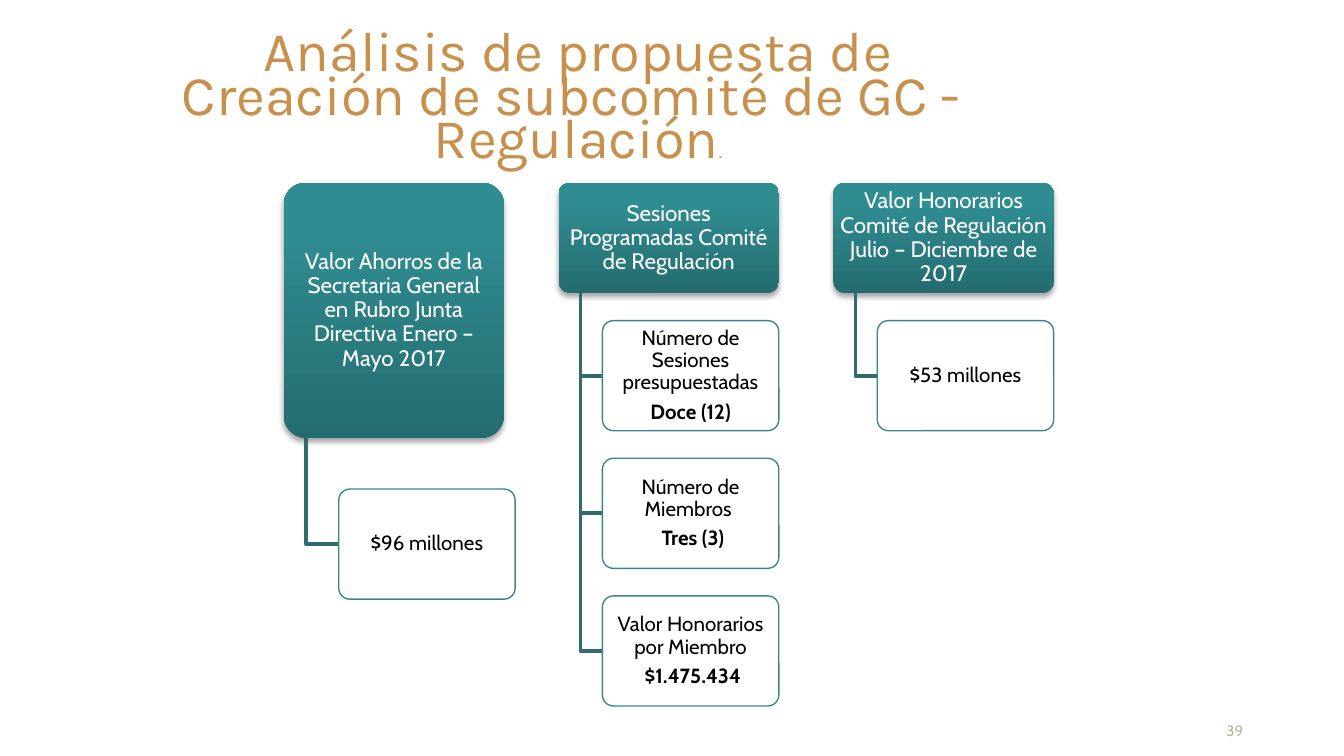
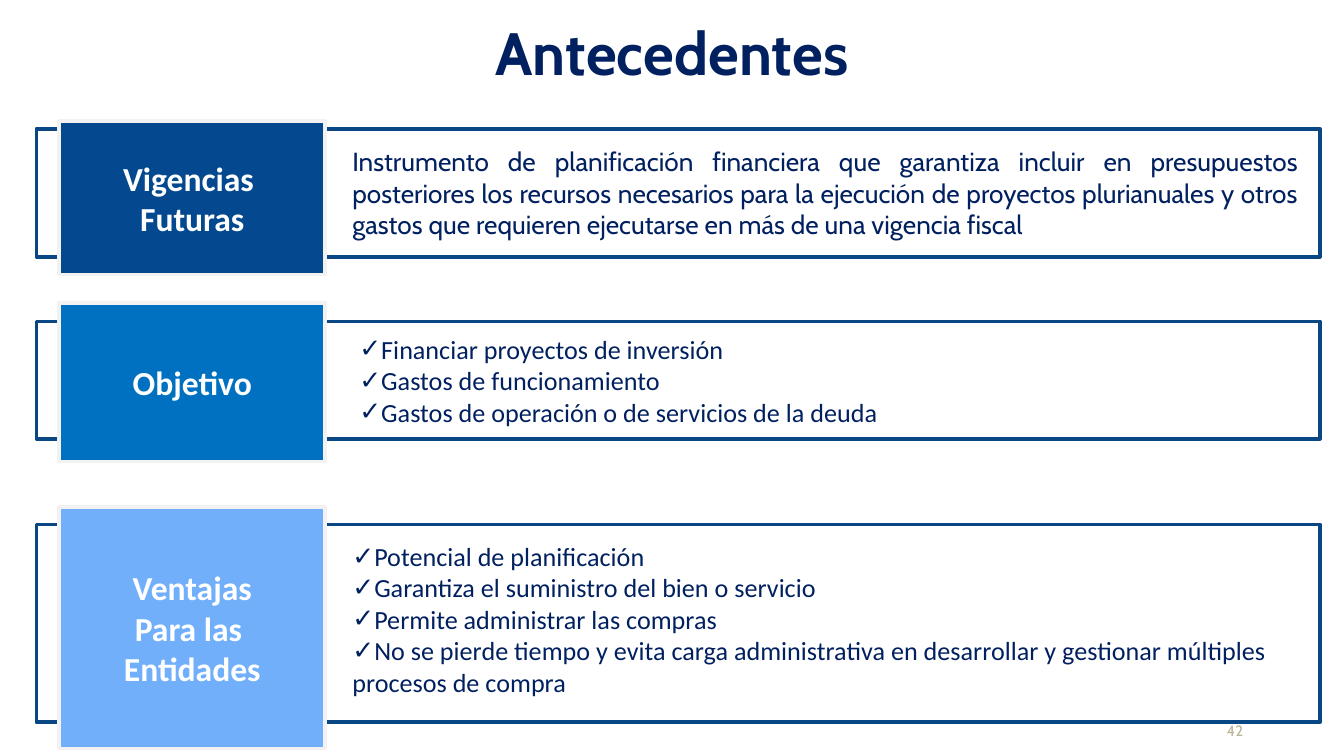
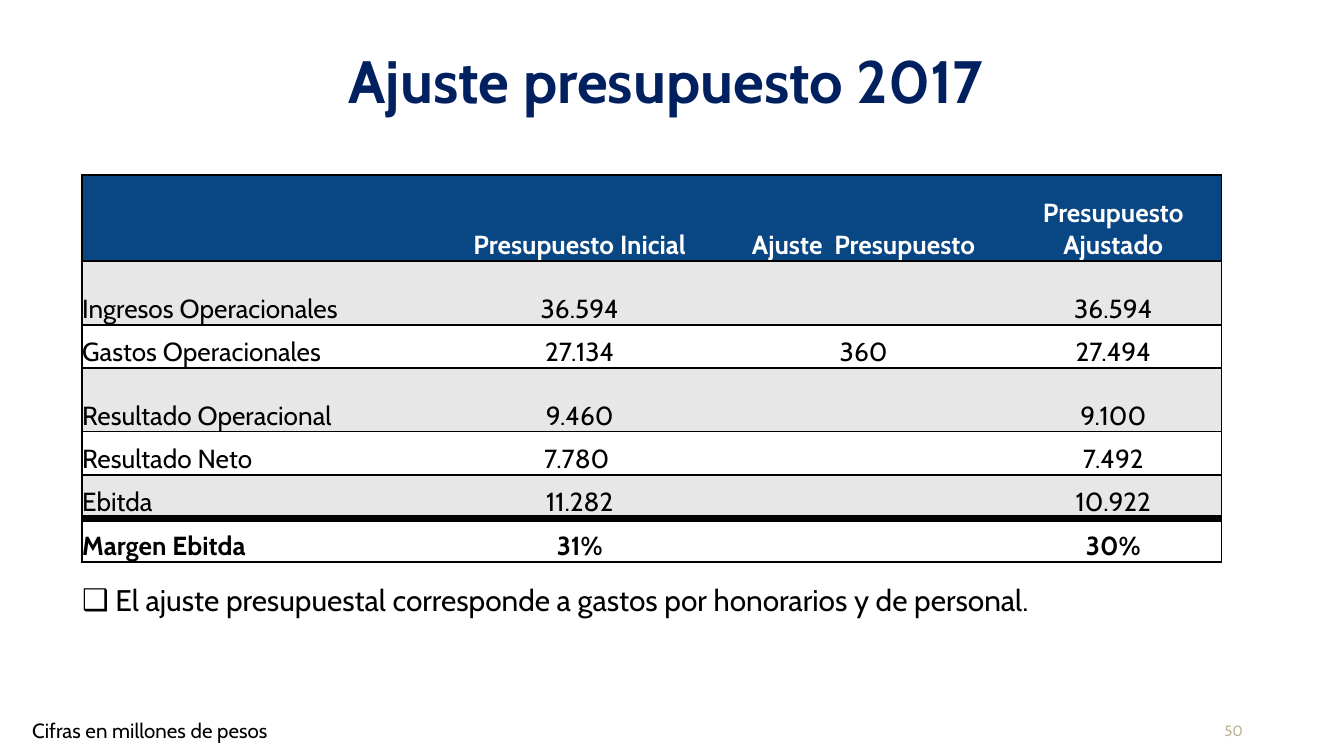
from copy import deepcopy
from dataclasses import dataclass

from lxml import etree
from pptx import Presentation
from pptx.dml.color import RGBColor
from pptx.enum.shapes import MSO_SHAPE
from pptx.enum.text import MSO_ANCHOR, MSO_AUTO_SIZE, PP_ALIGN
from pptx.oxml.ns import qn
from pptx.util import Pt

LEFT, CENTER, RIGHT, JUSTIFY = PP_ALIGN.LEFT, PP_ALIGN.CENTER, PP_ALIGN.RIGHT, PP_ALIGN.JUSTIFY
TOP, MIDDLE, BOTTOM = MSO_ANCHOR.TOP, MSO_ANCHOR.MIDDLE, MSO_ANCHOR.BOTTOM
ROUNDED, PENTAGON = MSO_SHAPE.ROUNDED_RECTANGLE, MSO_SHAPE.PENTAGON
NO_AUTOFIT = MSO_AUTO_SIZE.NONE
TITLE_CONTENT, TWO_CONTENT, TITLE_ONLY = 1, 3, 5
NO_TABLE_STYLE = "{2D5ABB26-0587-4C30-8999-92F81FD0307C}"


@dataclass(frozen=True)
class Theme:
    font: str = "Cabin"
    label_font: str = "Calibri"
    display_font: str = "Karla"
    white: str = "FFFFFF"
    black: str = "000000"
    navy: str = "002060"
    gold: str = "C8904D"
    page_number: str = "BCB296"
    teal_gradient: tuple = ((0, "246C6F"), (0.8, "2F8C90"), (1, "2D8F92"))
    stem: str = "306B6E"
    card_line: str = "3C8689"
    band: str = "094784"
    label_line: str = "F2F2F2"
    stripe: str = "E7E7E7"
    title_size: float = 32
    display_size: float = 30
    label_size: float = 18
    note_size: float = 16
    body_size: float = 14
    head_size: float = 12
    card_size: float = 11
    dot_size: float = 9.8
    number_size: float = 8


T = Theme()


def rgb(value):
    return RGBColor.from_string(value)


def write(tf, paragraphs, size, color, font=T.font, bold=False, align=LEFT, anchor=TOP,
          inset=0, spacing=1.0, after=0, bullet=None, wrap=True):
    """Write paragraphs; each is a string or a list of (text, bold, size) runs."""
    tf.auto_size = NO_AUTOFIT
    tf.word_wrap = wrap
    tf.vertical_anchor = anchor
    tf.margin_left = tf.margin_right = tf.margin_top = tf.margin_bottom = Pt(inset)
    for i, runs in enumerate(paragraphs):
        p = tf.paragraphs[0] if i == 0 else tf.add_paragraph()
        p.alignment = align
        p.line_spacing = spacing
        p.space_before, p.space_after = Pt(0), Pt(after)
        if bullet:
            set_bullet(p, bullet)
        if isinstance(runs, str):
            runs = [(runs, bold, size)]
        for text, run_bold, run_size in runs:
            r = p.add_run()
            r.text = text
            r.font.name, r.font.size, r.font.bold = font, Pt(run_size), run_bold
            r.font.color.rgb = rgb(color)


def set_bullet(p, char):
    pPr = p._p.get_or_add_pPr()
    pPr.set("marL", "0")
    pPr.set("indent", "0")
    etree.SubElement(pPr, qn("a:buChar"), char=char)


def place(sp, x, y, w, h):
    sp.left, sp.top, sp.width, sp.height = Pt(x), Pt(y), Pt(w), Pt(h)


def add_title(s, text, box, spacing, align=CENTER):
    place(s.shapes.title, *box)
    write(s.shapes.title.text_frame, [text], T.title_size, T.navy, bold=True,
          align=align, spacing=spacing)


def add_list(s, idx, box, items, **style):
    """Fill a body placeholder and bring it in front of the shapes so far."""
    sp = s.placeholders[idx]
    place(sp, *box)
    write(sp.text_frame, items, **style)
    s.shapes.element.append(sp.element)


def add_text(s, box, text, size, color, **style):
    sp = s.shapes.add_textbox(*map(Pt, box))
    write(sp.text_frame, [text], size, color, **style)


def add_page_number(s, number):
    add_text(s, (643, 386.5, 23, 9.5), number, T.number_size, T.page_number,
             align=RIGHT, anchor=BOTTOM)


def add_box(s, kind, box, adjust, fill=None, line=None, width=1):
    sp = s.shapes.add_shape(kind, *map(Pt, box))
    sp.adjustments[0] = adjust
    sp.shadow.inherit = False
    if fill:
        sp.fill.solid()
        sp.fill.fore_color.rgb = rgb(fill)
    if line:
        sp.line.color.rgb = rgb(line)
        sp.line.width = Pt(width)
    else:
        sp.line.fill.background()
    return sp


def add_header(s, box, text):
    sp = add_box(s, ROUNDED, box, 0.1)
    sp.fill.gradient()
    sp.fill.gradient_angle = 90
    stops = sp.element.spPr.find(".//" + qn("a:gsLst"))
    stops.append(deepcopy(stops[-1]))
    for stop, (position, color) in zip(sp.fill.gradient_stops, T.teal_gradient):
        stop.position = position
        stop.color.rgb = rgb(color)
    effects = sp.element.spPr.find(qn("a:effectLst"))
    shadow = etree.SubElement(effects, qn("a:outerShdw"), blurRad=str(Pt(3.1)),
                              dist=str(Pt(1.8)), dir="5400000", rotWithShape="0")
    color = etree.SubElement(shadow, qn("a:srgbClr"), val=T.black)
    etree.SubElement(color, qn("a:alpha"), val="35000")
    write(sp.text_frame, [text], T.head_size, T.white, align=CENTER, anchor=MIDDLE,
          inset=1.8, spacing=0.9, after=4.2)


def add_card(s, box, paragraphs):
    sp = add_box(s, ROUNDED, box, 0.1, T.white, T.card_line, 0.75)
    color = sp.element.spPr.find(qn("a:solidFill"))[0]
    etree.SubElement(color, qn("a:alpha"), val="90000")
    write(sp.text_frame, paragraphs, T.card_size, T.black, align=CENTER, anchor=MIDDLE,
          inset=1.5, spacing=0.9, after=3.85)


def add_stem(s, x, top, end_x, end_y):
    builder = s.shapes.build_freeform(Pt(x), Pt(top))
    builder.add_line_segments([(Pt(x), Pt(end_y)), (Pt(end_x), Pt(end_y))], close=False)
    sp = builder.convert_to_shape()
    sp.shadow.inherit = False
    sp.fill.background()
    sp.line.color.rgb = rgb(T.stem)
    sp.line.width = Pt(2)


def add_branch(s, x, head_h, header, cards, indent=23.5, gap=14.75):
    """A header with cards hanging below it from right-angled stems."""
    top, head_w, card_w, card_h = 98, 118, 94.5, 59
    add_header(s, (x, top, head_w, head_h), header)
    bottom = top + head_h
    for i, paragraphs in enumerate(cards):
        y = bottom + gap + i * card_h * 1.25
        add_stem(s, x + 11.8, bottom, x + indent, y + card_h / 2)
        add_card(s, (x + indent, y, card_w, card_h), paragraphs)


def add_band(s, y, h, label_y, label_h, color, label):
    add_box(s, ROUNDED, (19.5, y, 687.5, h), 0, T.white, T.band, 2)
    sp = add_box(s, PENTAGON, (31.75, label_y, 142.5, label_h), 0, color, T.label_line, 2)
    write(sp.text_frame, label, T.label_size, T.white, font=T.label_font, bold=True,
          align=CENTER, anchor=MIDDLE, inset=18, wrap=False)


def set_border(cell, side, width):
    ln = etree.SubElement(cell._tc.get_or_add_tcPr(), qn("a:ln" + side), w=str(Pt(width)))
    fill = etree.SubElement(ln, qn("a:solidFill"))
    etree.SubElement(fill, qn("a:srgbClr"), val=T.black)


def add_budget_table(s, box, widths, heights, rows):
    frame = s.shapes.add_table(len(rows), len(widths), *map(Pt, box))
    frame.element.find(".//" + qn("a:tableStyleId")).text = NO_TABLE_STYLE
    table = frame.table
    table.first_row = table.horz_banding = False
    for column, width in zip(table.columns, widths):
        column.width = Pt(width)
    for row, height in zip(table.rows, heights):
        row.height = Pt(height)
    last = len(rows) - 1
    for i, values in enumerate(rows):
        fill = T.band if i == 0 else T.stripe if i % 2 else T.white
        for j, value in enumerate(values):
            cell = table.cell(i, j)
            cell.margin_left = cell.margin_right = cell.margin_top = cell.margin_bottom = 0
            cell.vertical_anchor = BOTTOM
            if j == 0:
                set_border(cell, "L", 1)
            if j == len(values) - 1:
                set_border(cell, "R", 1)
            set_border(cell, "T", 4 if i == last else 1)
            set_border(cell, "B", 4 if i == last - 1 else 1)
            cell.fill.solid()
            cell.fill.fore_color.rgb = rgb(fill)
            p = cell.text_frame.paragraphs[0]
            p.alignment = CENTER if j else LEFT
            if value:
                r = p.add_run()
                r.text = value
                r.font.name, r.font.size = T.font, Pt(T.body_size)
                r.font.bold = i in (0, last)
                r.font.color.rgb = rgb(T.black if i else T.white)


def subcommittee_slide(prs):
    s = prs.slides.add_slide(prs.slide_layouts[TITLE_ONLY])
    place(s.shapes.title, 79.2, 19.5, 461, 52.5)
    title = [("Análisis de propuesta de Creación de subcomité de GC -  Regulación",
              False, T.display_size), (".", False, T.dot_size)]
    write(s.shapes.title.text_frame, [title], T.display_size, T.gold, font=T.display_font,
          align=CENTER, spacing=0.65)

    def strong(text):
        return [(text, True, T.card_size)]

    add_branch(s, 152, 136.75,
               "Valor Ahorros de la Secretaria General en Rubro Junta Directiva Enero – Mayo 2017",
               [["$96 millones"]], indent=29.5, gap=27.25)
    add_branch(s, 299.25, 59, "Sesiones Programadas Comité de Regulación", [
        ["Número de Sesiones presupuestadas", strong("Doce (12)")],
        ["Número de Miembros ", strong(" Tres (3)")],
        ["Valor Honorarios por Miembro", [(" ", False, T.card_size)] + strong("$1.475.434")],
    ])
    add_branch(s, 446.5, 59, "Valor Honorarios Comité de Regulación Julio – Diciembre de 2017",
               [["$53 millones"]])
    add_page_number(s, "39")


def background_slide(prs):
    s = prs.slides.add_slide(prs.slide_layouts[TWO_CONTENT])
    add_title(s, "Antecedentes", (265.5, 1, 212, 47), 1.2, align=LEFT)
    add_band(s, 69, 68.5, 65, 82, "044990", ["Vigencias ", "Futuras"])
    add_band(s, 172.25, 62.75, 162.25, 85, "0070C0", ["Objetivo"])
    add_band(s, 281, 106, 271.5, 129.5, "71AFFB", ["Ventajas", "Para las ", "Entidades"])
    add_text(s, (188.75, 78, 507, 51),
             "Instrumento de planificación financiera que garantiza incluir en presupuestos "
             "posteriores los recursos necesarios para la ejecución de proyectos plurianuales "
             "y otros gastos que requieren ejecutarse en más de una vigencia fiscal",
             T.body_size, T.navy, align=JUSTIFY)
    checks = dict(size=T.body_size, color=T.navy, font=T.label_font, bullet="✓")
    add_list(s, 1, (192.5, 178.5, 555, 51), [
        "Financiar proyectos de inversión",
        "Gastos de funcionamiento",
        "Gastos de operación o de servicios de la deuda",
    ], **checks)
    add_list(s, 2, (188.75, 289.5, 522, 85), [
        "Potencial de planificación",
        "Garantiza el suministro del bien o servicio",
        "Permite administrar las compras",
        "No se pierde tiempo y evita carga administrativa en desarrollar y gestionar "
        "múltiples procesos de compra",
    ], **checks)
    add_page_number(s, "42")


def budget_slide(prs):
    s = prs.slides.add_slide(prs.slide_layouts[TITLE_CONTENT])
    add_title(s, "Ajuste presupuesto 2017", (68.5, 29.5, 576.75, 39.5), 0.85)
    add_budget_table(
        s, (44, 93.75, 610.5, 207), [190.25, 152.75, 151.5, 116],
        [46.25, 34, 23.25, 34, 23.25, 23.25, 23.25], [
            ("", "Presupuesto Inicial", "Ajuste  Presupuesto", "Presupuesto Ajustado"),
            ("Ingresos Operacionales", "36.594", "", "36.594"),
            ("Gastos Operacionales", "27.134", "360", "27.494"),
            ("Resultado Operacional", "9.460", "", "9.100"),
            ("Resultado Neto", "7.780 ", "", "7.492"),
            ("Ebitda", "11.282", "", "10.922"),
            ("Margen Ebitda", "31%", "", "30%"),
        ])
    add_list(s, 1, (44, 308, 610.5, 23),
             [" El ajuste presupuestal corresponde a gastos por honorarios y de personal."],
             size=T.note_size, color=T.black, align=JUSTIFY, spacing=1.2, bullet="❑")
    add_text(s, (17.25, 384.5, 258.5, 14), "Cifras en millones de pesos",
             T.card_size, T.black)
    add_page_number(s, "50")


def main():
    prs = Presentation()
    prs.slide_width, prs.slide_height = Pt(720), Pt(405)
    subcommittee_slide(prs)
    background_slide(prs)
    budget_slide(prs)
    prs.save("out.pptx")


if __name__ == "__main__":
    main()
